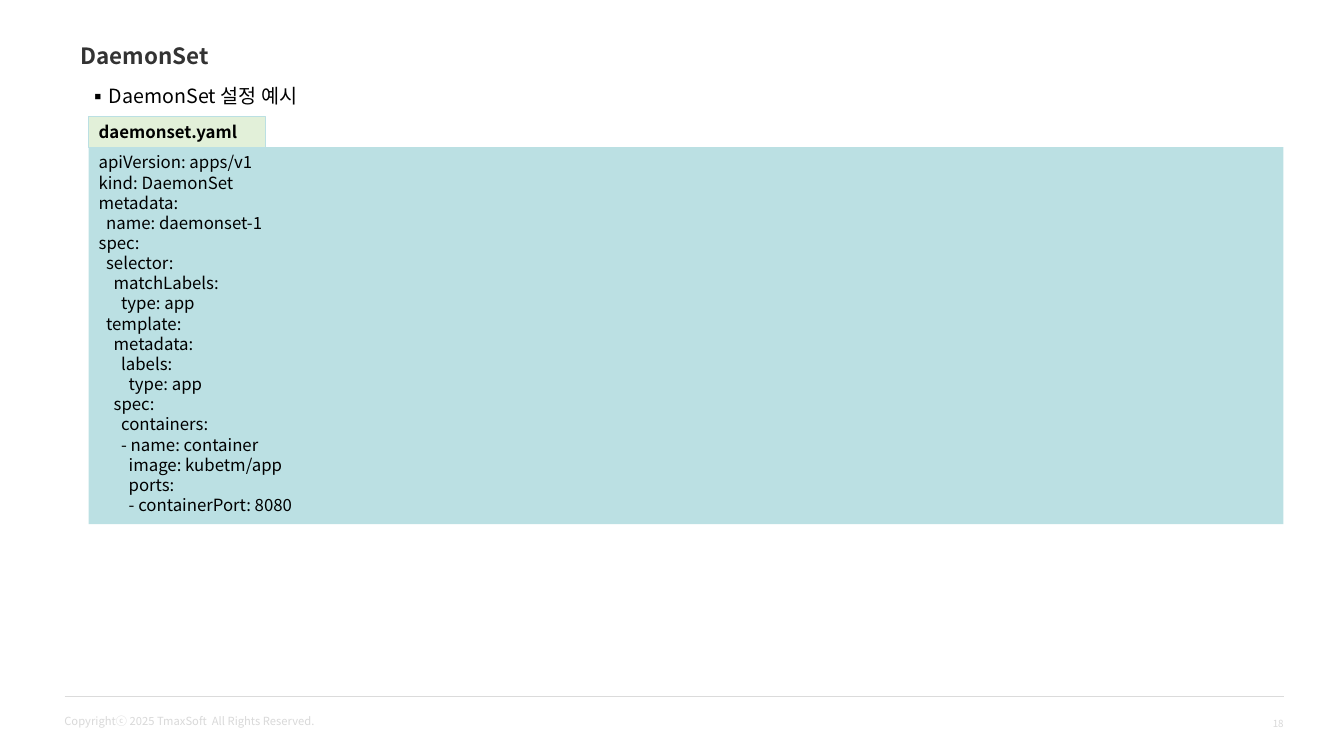
from lxml.etree import SubElement
from pptx import Presentation
from pptx.dml.color import RGBColor
from pptx.enum.shapes import MSO_CONNECTOR, MSO_SHAPE
from pptx.enum.text import MSO_ANCHOR, MSO_AUTO_SIZE, PP_ALIGN
from pptx.oxml.ns import qn
from pptx.util import Pt

PX = 9144  # 100 px to the inch
FONT = "Noto Sans CJK KR"
COLORS = {
    "title": "333333",
    "text": "000000",
    "code": "BBE0E3",
    "label": "E2F0D9",
    "rule": "DBDBDB",
    "footer": "D9D9D9",
}
DAEMONSET_YAML = """\
apiVersion: apps/v1
kind: DaemonSet
metadata:
  name: daemonset-1
spec:
  selector:
    matchLabels:
      type: app
  template:
    metadata:
      labels:
        type: app
    spec:
      containers:
      - name: container
        image: kubetm/app
        ports:
        - containerPort: 8080"""


def px(*lengths):
    return [length * PX for length in lengths]


def color(name):
    return RGBColor.from_string(COLORS[name])


def write(box, text, size, ink="text", bold=False, align=PP_ALIGN.LEFT,
          anchor=MSO_ANCHOR.MIDDLE, wrap=True):
    """Fill a box with one paragraph per line of text."""
    frame = box.text_frame
    frame.auto_size = MSO_AUTO_SIZE.NONE
    frame.word_wrap = wrap
    frame.vertical_anchor = anchor
    for index, line in enumerate(text.split("\n")):
        para = frame.add_paragraph() if index else frame.paragraphs[0]
        para.alignment = align
        para.space_before = Pt(0)
        para.line_spacing = Pt(round(size * 1.2, 1))
        span = para.add_run()
        span.text = line
        span.font.name = FONT
        SubElement(span.font._element, qn("a:ea"), typeface=FONT)
        span.font.size = Pt(size)
        span.font.bold = bold
        span.font.color.rgb = color(ink)


def place(box, left, top, width, height):
    box.left, box.top, box.width, box.height = px(left, top, width, height)


def add_bullet(para, sign, indent):
    properties = para._p.get_or_add_pPr()
    properties.set("marL", str(indent * PX))
    properties.set("indent", str(-indent * PX))
    SubElement(properties, qn("a:buFont"), typeface=FONT)
    SubElement(properties, qn("a:buChar"), char=sign)


def add_panel(group, bounds, fill, outline=None):
    panel = group.shapes.add_shape(MSO_SHAPE.RECTANGLE, *px(*bounds))
    panel.shadow.inherit = False
    panel.fill.solid()
    panel.fill.fore_color.rgb = color(fill)
    if outline:
        panel.line.color.rgb = color(outline)
        panel.line.width = Pt(0.75)
    else:
        panel.line.fill.background()
    return panel


def add_code(page, file_name, code):
    group = page.shapes.add_group_shape()
    body = add_panel(group, (88, 146, 1185, 374), "code")
    write(body, code, 12, anchor=MSO_ANCHOR.TOP)
    label = add_panel(group, (88, 116, 175, 30), "label", outline="code")
    write(label, file_name, 12, bold=True)


def add_footer(page, copyright_line, number):
    rule = page.shapes.add_connector(MSO_CONNECTOR.STRAIGHT, *px(64, 691, 1273, 691))
    rule.line.color.rgb = color("rule")
    rule.line.width = Pt(0.5)
    SubElement(rule._element.spPr, qn("a:effectLst"))
    notice = page.shapes.add_textbox(*px(54, 703, 270, 24))
    write(notice, copyright_line, 8, "footer", wrap=False)
    page_number = page.shapes.add_textbox(*px(1178, 685, 105, 65))
    write(page_number, number, 7, "footer", align=PP_ALIGN.RIGHT)


def main():
    deck = Presentation()
    deck.slide_width, deck.slide_height = px(1333, 750)
    page = deck.slides.add_slide(deck.slide_layouts[1])
    title, body = page.placeholders

    place(title, 70, 37, 573, 37)
    write(title, "DaemonSet", 16, "title", bold=True)

    place(body, 78, 78, 1078, 34)
    add_bullet(body.text_frame.paragraphs[0], "▪", 20)
    write(body, "DaemonSet 설정 예시", 14)

    add_code(page, "daemonset.yaml", DAEMONSET_YAML)
    add_footer(page, "Copyrightⓒ 2025 TmaxSoft  All Rights Reserved.", "18")
    deck.save("out.pptx")


if __name__ == "__main__":
    main()
